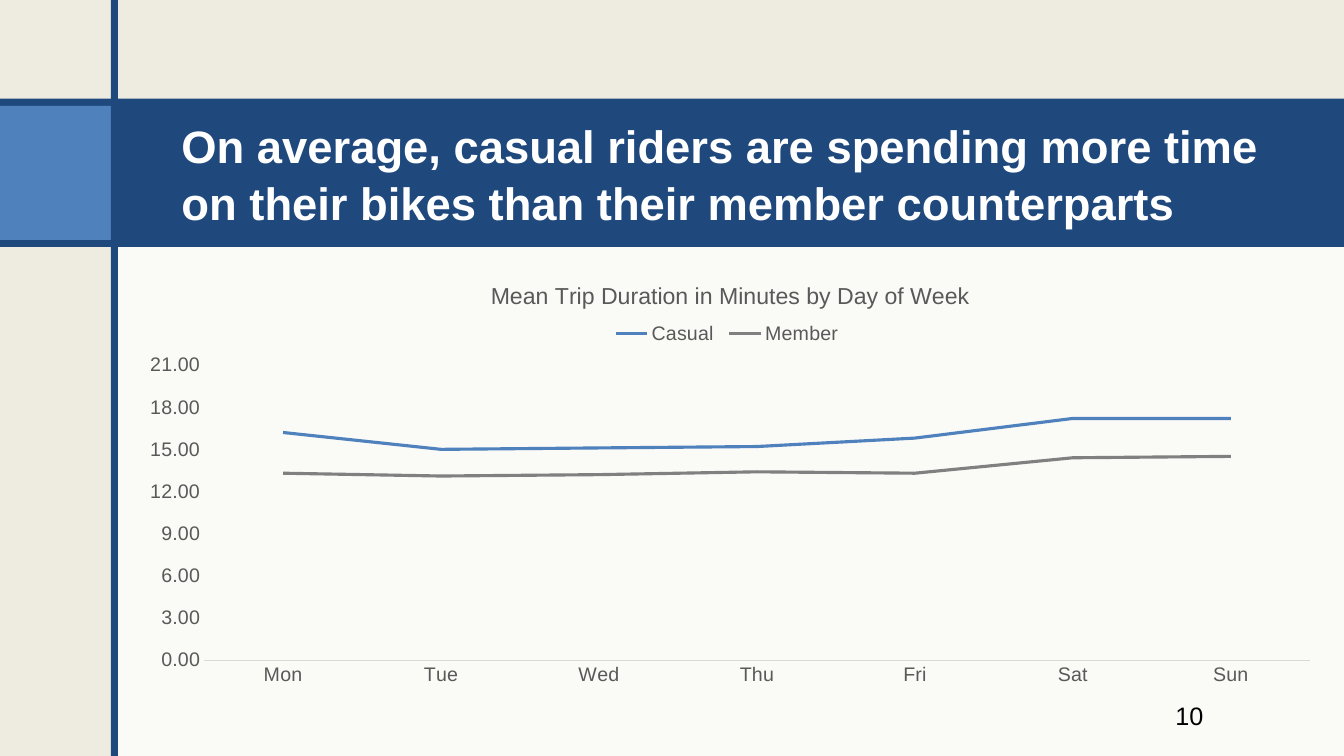
"""Build the slide comparing casual and member trip durations."""
import pptx
import pptx.chart.data
import pptx.dml.color
import pptx.enum.chart
import pptx.enum.shapes
import pptx.enum.text
import pptx.oxml
import pptx.oxml.ns
import pptx.util

Inches = pptx.util.Inches
NAVY, BLUE, BEIGE = "1F497D", "4F81BD", "EEECE1"
DAYS = ["Mon", "Tue", "Wed", "Thu", "Fri", "Sat", "Sun"]
RIDERS = [
    ("Casual", BLUE, [16.2, 15, 15.1, 15.2, 15.8, 17.2, 17.2]),
    ("Member", "808080", [13.3, 13.1, 13.2, 13.4, 13.3, 14.4, 14.5]),
]


def rgb(value):
    """Turn a hex string into a colour."""
    return pptx.dml.color.RGBColor.from_string(value)


def set_font(font, size, colour, bold=False):
    """Apply the slide's typeface with a size and colour."""
    font.name, font.size, font.bold = "Arial", pptx.util.Pt(size), bold
    font.color.rgb = rgb(colour)


def add_panel(slide, box, colour, opacity=100):
    """Add a borderless rectangle, optionally see-through."""
    panel = slide.shapes.add_shape(
        pptx.enum.shapes.MSO_SHAPE.RECTANGLE, *map(Inches, box))
    panel.shadow.inherit = False
    panel.fill.solid()
    panel.fill.fore_color.rgb = rgb(colour)
    panel.line.fill.background()
    if opacity < 100:
        tint = next(panel.fill._xPr.iter(pptx.oxml.ns.qn("a:srgbClr")))
        alpha = pptx.oxml.parse_xml(
            f'<a:alpha {pptx.oxml.ns.nsdecls("a")} val="{opacity * 1000}"/>')
        tint.append(alpha)


def add_backdrop(slide, width, height):
    """Draw the beige ground, content panel, title band and vertical rule."""
    slide.background.fill.solid()
    slide.background.fill.fore_color.rgb = rgb(BEIGE)
    rule, rule_width, band_top, band_height = 1.1, 0.07, 0.98, 1.47
    panel_left, panel_top = 1.14, 2.33
    add_panel(slide, (panel_left, panel_top, width - panel_left, height - panel_top),
              "FFFFFF", 75)
    add_panel(slide, (0, band_top, width, band_height), NAVY)
    add_panel(slide, (0, band_top + rule_width, rule, band_height - 2 * rule_width), BLUE)
    add_panel(slide, (rule, 0, rule_width, height), NAVY)


def add_headline(slide, box, text):
    """Place the title placeholder over the band."""
    headline = slide.shapes.title
    slide.shapes._spTree.append(headline._element)
    headline.left, headline.top, headline.width, headline.height = map(Inches, box)
    frame = headline.text_frame
    frame.text = text
    frame.word_wrap = True
    frame.auto_size = pptx.enum.text.MSO_AUTO_SIZE.NONE
    frame.vertical_anchor = pptx.enum.text.MSO_ANCHOR.MIDDLE
    frame.margin_left = frame.margin_top = frame.margin_right = Inches(0.12)
    frame.margin_bottom = Inches(0.1)
    sentence = frame.paragraphs[0]
    sentence.alignment = pptx.enum.text.PP_ALIGN.LEFT
    sentence.line_spacing = 1.05
    set_font(sentence.runs[0].font, 32.4, "FFFFFF", True)


def add_page_number(slide, box, number):
    """Write the page number."""
    frame = slide.shapes.add_textbox(*map(Inches, box)).text_frame
    frame.word_wrap = True
    frame.text = number
    set_font(frame.paragraphs[0].runs[0].font, 18, "000000")


def set_layout(element, x, y, width=None, height=None):
    """Fix a chart part's place as fractions of the chart."""
    for old in element.findall(pptx.oxml.ns.qn("c:layout")):
        element.remove(old)
    inner = '<c:layoutTarget val="inner"/>' if element.tag.endswith("plotArea") else ""
    sizes = "" if width is None else f'<c:w val="{width}"/><c:h val="{height}"/>'
    layout = pptx.oxml.parse_xml(
        f'<c:layout {pptx.oxml.ns.nsdecls("c")}><c:manualLayout>{inner}'
        '<c:xMode val="edge"/><c:yMode val="edge"/>'
        f'<c:x val="{x}"/><c:y val="{y}"/>{sizes}</c:manualLayout></c:layout>')
    lead = element.find(pptx.oxml.ns.qn("c:tx"))
    if lead is None:
        lead = element.find(pptx.oxml.ns.qn("c:legendPos"))
    if lead is None:
        element.insert(0, layout)
    else:
        lead.addnext(layout)


def style_axes(chart):
    """Format the day and minutes axes."""
    days, minutes = chart.category_axis, chart.value_axis
    for axis in (days, minutes):
        axis.has_major_gridlines = False
        axis.major_tick_mark = axis.minor_tick_mark = pptx.enum.chart.XL_TICK_MARK.NONE
        set_font(axis.tick_labels.font, 14, "595959")
    days.format.line.color.rgb = rgb("D9D9D9")
    days.format.line.width = pptx.util.Pt(0.75)
    minutes.format.line.fill.background()
    minutes.minimum_scale, minutes.maximum_scale, minutes.major_unit = 0, 21, 3
    minutes.tick_labels.number_format = "#,##0.00"
    minutes.tick_labels.number_format_is_linked = False


def add_duration_chart(slide, box):
    """Add the line chart of mean trip duration."""
    durations = pptx.chart.data.CategoryChartData(number_format="#,##0.00")
    durations.categories = DAYS
    for rider, _, minutes in RIDERS:
        durations.add_series(rider, minutes)
    chart = slide.shapes.add_chart(
        pptx.enum.chart.XL_CHART_TYPE.LINE, *map(Inches, box), durations).chart
    set_font(chart.font, 14, "000000")
    chart.has_title = True
    heading = chart.chart_title.text_frame
    heading.text = "Mean Trip Duration in Minutes by Day of Week"
    set_font(heading.paragraphs[0].runs[0].font, 16.5, "595959")
    chart.chart_title.include_in_layout = False
    chart.has_legend = True
    chart.legend.position = pptx.enum.chart.XL_LEGEND_POSITION.TOP
    chart.legend.include_in_layout = False
    set_font(chart.legend.font, 14, "595959")
    style_axes(chart)
    chart.plots[0].vary_by_categories = False
    for series, (_, colour, _) in zip(chart.plots[0].series, RIDERS):
        series.smooth = False
        series.marker.style = pptx.enum.chart.XL_MARKER_STYLE.NONE
        series.format.line.color.rgb = rgb(colour)
        series.format.line.width = pptx.util.Pt(2.25)
    set_layout(chart.chart_title._element, 0.3, 0.04)
    set_layout(chart.legend._element, 0.4, 0.13, 0.2, 0.08)
    plot_area = chart._chartSpace.chart.plotArea
    set_layout(plot_area, 0.065, 0.243, 0.92, 0.676)


def main():
    """Assemble and save the slide."""
    width, height = 13.33, 7.5
    deck = pptx.Presentation()
    deck.slide_width, deck.slide_height = Inches(width), Inches(height)
    slide = deck.slides.add_slide(deck.slide_layouts[5])
    add_backdrop(slide, width, height)
    add_headline(slide, (1.68, 1.14, 10.95, 1.13),
                 "On average, casual riders are spending more time "
                 "on their bikes than their member counterparts")
    add_page_number(slide, (11.56, 6.9, 1.07, 0.5), "10")
    add_duration_chart(slide, (1.25, 2.57, 11.92, 4.33))
    deck.save("out.pptx")


if __name__ == "__main__":
    main()
